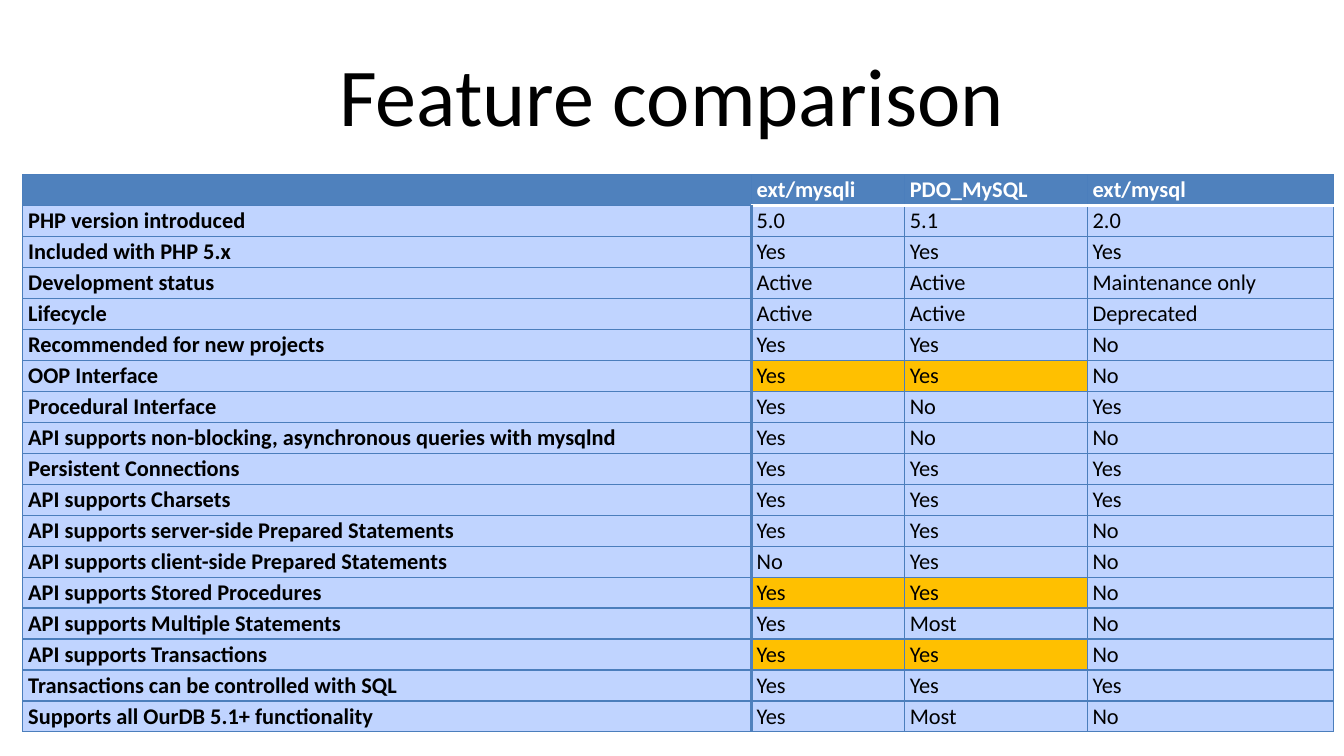
from lxml.etree import SubElement
from pptx import Presentation
from pptx.dml.color import RGBColor
from pptx.enum.text import MSO_ANCHOR as Anchor, PP_ALIGN as Align
from pptx.oxml.ns import qn
from pptx.util import Inches, Pt

BLACK = RGBColor(0x00, 0x00, 0x00)
WHITE = RGBColor(0xFF, 0xFF, 0xFF)
HEADER_BLUE = RGBColor(0x4F, 0x81, 0xBD)
GRID_BLUE = RGBColor(0x4B, 0x7E, 0xBC)
PALE_BLUE = RGBColor(0xC0, 0xD4, 0xFF)
HIGHLIGHT = RGBColor(0xFF, 0xC0, 0x00)

TITLE_BOX = (0.5, 0.23, 9, 0.94)
TABLE_BOX = (0.17, 1.3, 9.75, 4.15)
COLUMN_WIDTHS = (5.42, 1.14, 1.36, 1.83)
HIGHLIGHTED_FEATURES = {
    "OOP Interface",
    "API supports Stored Procedures",
    "API supports Transactions",
}
FEATURES = [
    ("", "ext/mysqli", "PDO_MySQL", "ext/mysql"),
    ("PHP version introduced", "5.0", "5.1", "2.0"),
    ("Included with PHP 5.x", "Yes", "Yes", "Yes"),
    ("Development status", "Active", "Active", "Maintenance only"),
    ("Lifecycle", "Active", "Active", "Deprecated"),
    ("Recommended for new projects", "Yes", "Yes", "No"),
    ("OOP Interface", "Yes", "Yes", "No"),
    ("Procedural Interface", "Yes", "No", "Yes"),
    ("API supports non-blocking, asynchronous queries with mysqlnd", "Yes", "No", "No"),
    ("Persistent Connections", "Yes", "Yes", "Yes"),
    ("API supports Charsets", "Yes", "Yes", "Yes"),
    ("API supports server-side Prepared Statements", "Yes", "Yes", "No"),
    ("API supports client-side Prepared Statements", "No", "Yes", "No"),
    ("API supports Stored Procedures", "Yes", "Yes", "No"),
    ("API supports Multiple Statements", "Yes", "Most", "No"),
    ("API supports Transactions", "Yes", "Yes", "No"),
    ("Transactions can be controlled with SQL", "Yes", "Yes", "Yes"),
    ("Supports all OurDB 5.1+ functionality", "Yes", "Most", "No"),
]


def write_text(frame, text, size=12, color=BLACK, bold=False, align=Align.LEFT):
    """Write one formatted paragraph, keeping the size even when it is empty."""
    para = frame.paragraphs[0]
    para.alignment = align
    if not text:
        SubElement(para._p, qn("a:endParaRPr"), sz=str(size * 100))
        return
    span = para.add_run()
    span.text = text
    span.font.name = "Calibri"
    span.font.size = Pt(size)
    span.font.bold = bold
    span.font.color.rgb = color


def set_borders(cell, **borders):
    """Draw the four cell borders; each override is a colour and a width."""
    properties = cell._tc.get_or_add_tcPr()
    for side in "LRTB":
        color, width = borders.get(side, (GRID_BLUE, 0.75))
        line = SubElement(properties, qn(f"a:ln{side}"), w=str(Pt(width)))
        fill = SubElement(line, qn("a:solidFill"))
        SubElement(fill, qn("a:srgbClr"), val=str(color))


def format_cell(cell, text, row, column, highlighted):
    """Fill one table cell according to its place in the grid."""
    is_header, is_label = row == 0, column == 0
    cell.margin_left = cell.margin_right = Inches(0.04)
    cell.margin_top = cell.margin_bottom = Inches(0.01)
    cell.vertical_anchor = Anchor.MIDDLE
    borders = {}
    if not is_label and row < 2:
        borders["B" if is_header else "T"] = (WHITE, 2)
    if not is_header and column < 2:
        borders["R" if is_label else "L"] = (HEADER_BLUE, 2)
    set_borders(cell, **borders)
    cell.fill.solid()
    if is_header:
        cell.fill.fore_color.rgb = HEADER_BLUE
    else:
        cell.fill.fore_color.rgb = HIGHLIGHT if highlighted else PALE_BLUE
    write_text(cell.text_frame, text, color=WHITE if is_header else BLACK,
               bold=is_header or is_label)


def add_title(page, box, text):
    """Place the slide title in the given box."""
    title = page.shapes.title
    title.left, title.top, title.width, title.height = map(Inches, box)
    title.text_frame.vertical_anchor = Anchor.MIDDLE
    write_text(title.text_frame, text, size=44, align=Align.CENTER)


def add_feature_table(page, box, features):
    """Place the comparison table in the given box with equal rows."""
    frame = page.shapes.add_table(len(features), len(COLUMN_WIDTHS), *map(Inches, box))
    table = frame.table
    table.first_row = table.horz_banding = False
    for column, width in zip(table.columns, COLUMN_WIDTHS):
        column.width = Inches(width)
    for row, values in enumerate(features):
        table.rows[row].height = Inches(box[3] / len(features))
        for column, text in enumerate(values):
            highlighted = values[0] in HIGHLIGHTED_FEATURES and column in (1, 2)
            format_cell(table.cell(row, column), text, row, column, highlighted)


def main():
    """Build and save the deck."""
    deck = Presentation()
    deck.slide_width = Inches(10)
    deck.slide_height = deck.slide_width * 9 // 16
    page = deck.slides.add_slide(deck.slide_layouts.get_by_name("Title Only"))
    add_title(page, TITLE_BOX, "Feature comparison")
    add_feature_table(page, TABLE_BOX, FEATURES)
    deck.save("out.pptx")


if __name__ == "__main__":
    main()
